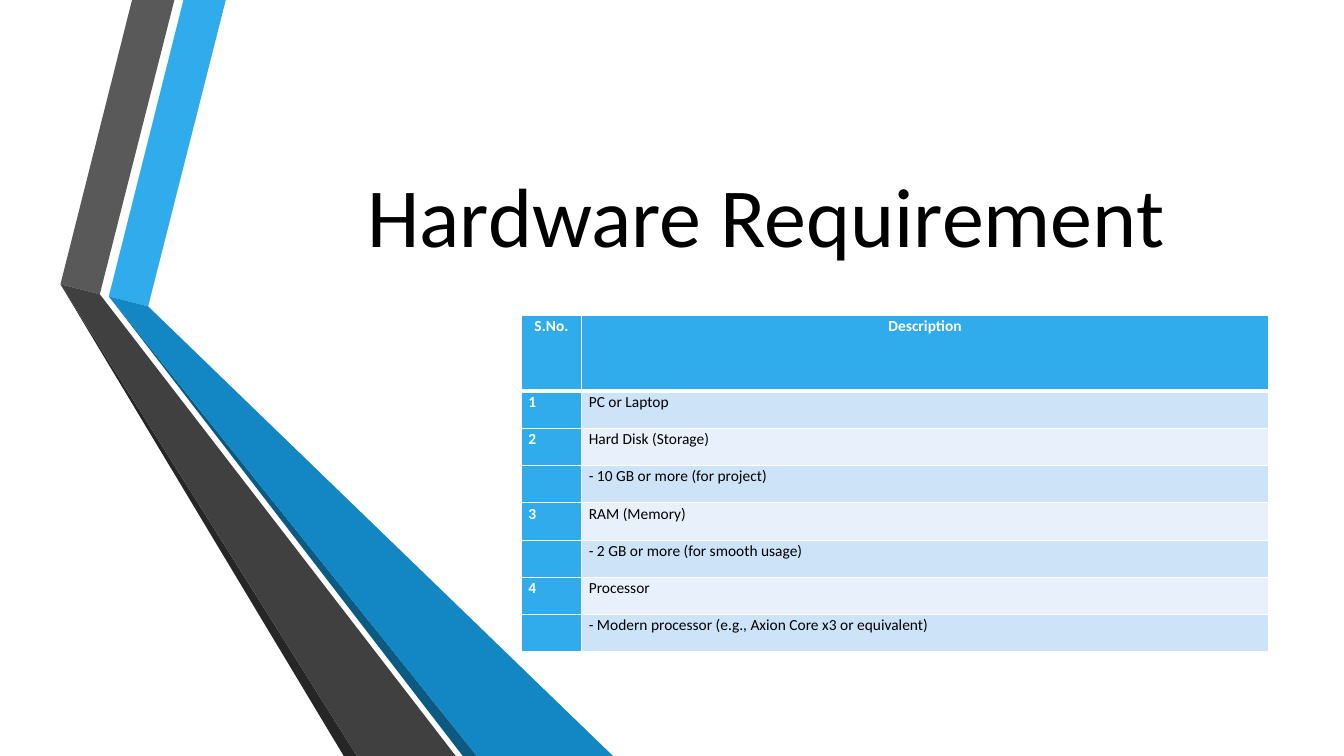
from lxml import etree
from pptx import Presentation
from pptx.dml.color import RGBColor
from pptx.enum.text import MSO_ANCHOR, PP_ALIGN
from pptx.oxml.ns import qn
from pptx.util import Inches, Pt

BOTTOM = MSO_ANCHOR.BOTTOM
LEFT, CENTER, RIGHT = PP_ALIGN.LEFT, PP_ALIGN.CENTER, PP_ALIGN.RIGHT
FONT = "Calibri"
COLORS = {
    "sky": "30ACEC", "blue": "1287C3", "navy": "0C5A82",
    "gray": "595959", "dark": "404040", "coal": "262626",
    "black": "000000", "white": "FFFFFF", "odd": "CDE3F8", "even": "E8F1FB",
}
BANDS = [
    ("sky", [(0.48, 2.94), (0.87, 3.04), (1.64, 0), (1.22, 0)]),
    ("gray", [(0.39, 2.92), (1.13, 0), (0.71, 0), (0, 2.82)]),
    ("coal", [(0, 2.82), (2.81, 7.5), (2.94, 7.5)]),
    ("navy", [(4.13, 7.5), (0.48, 2.94), (3.99, 7.5)]),
    ("blue", [(0.48, 2.94), (4.13, 7.5), (5.48, 7.5), (0.87, 3.04)]),
    ("dark", [(3.92, 7.5), (0.46, 3.01), (0.39, 2.92), (0, 2.82), (2.94, 7.5)]),
]
ROWS = [
    ("S.No.", "Description"),
    ("1", "PC or Laptop"),
    ("2", "Hard Disk (Storage)"),
    ("", "- 10 GB or more (for project)"),
    ("3", "RAM (Memory)"),
    ("", "- 2 GB or more (for smooth usage)"),
    ("4", "Processor"),
    ("", "- Modern processor (e.g., Axion Core x3 or equivalent)"),
]


def color(name):
    return RGBColor.from_string(COLORS[name])


def add_run(para, text, size, tone, bold=False):
    run = para.add_run()
    run.text = text
    font = run.font
    font.name, font.size, font.bold = FONT, Pt(size), bold
    font.color.rgb = color(tone)


def add_bands(slide, left, top):
    for tone, points in BANDS:
        spots = [(Inches(left + x), Inches(top + y)) for x, y in points]
        path = slide.shapes.build_freeform(*spots[0])
        path.add_line_segments(spots[1:], close=True)
        band = path.convert_to_shape()
        band.shadow.inherit = False
        band.fill.solid()
        band.fill.fore_color.rgb = color(tone)
        band.line.fill.background()


def add_title(slide, left, top, width, height):
    title = slide.shapes.title
    title.left, title.top = Inches(left), Inches(top)
    title.width, title.height = Inches(width), Inches(height)
    frame = title.text_frame
    frame.word_wrap = True
    frame.vertical_anchor = BOTTOM
    para = frame.paragraphs[0]
    para.alignment = RIGHT
    add_run(para, "Hardware Requirement", 60, "black")


def set_edges(cell, row):
    props = cell._tc.get_or_add_tcPr()
    widths = {"L": 1, "R": 1, "T": 3 if row == 1 else 1, "B": 3 if row == 0 else 1}
    for spot, (side, width) in enumerate(widths.items()):
        line = etree.Element(qn(f"a:ln{side}"), w=str(Pt(width)))
        fill = etree.SubElement(line, qn("a:solidFill"))
        etree.SubElement(fill, qn("a:srgbClr"), val=COLORS["white"])
        props.insert(spot, line)


def fill_cell(cell, text, row, col):
    key = row == 0 or col == 0
    cell.margin_left = cell.margin_right = Inches(0.07)
    cell.margin_top = cell.margin_bottom = 0
    cell.fill.solid()
    cell.fill.fore_color.rgb = color("sky" if key else "odd" if row % 2 else "even")
    set_edges(cell, row)
    if text:
        para = cell.text_frame.paragraphs[0]
        para.alignment = CENTER if row == 0 else LEFT
        para.line_spacing = 1.07
        para.space_after = Pt(8)
        add_run(para, text, 11, "white" if key else "black", key)


def add_specs(slide, left, top, width, height):
    frame = slide.shapes.add_table(
        len(ROWS), 2, Inches(left), Inches(top), Inches(width), Inches(height))
    table = frame.table
    table.columns[0].width = Inches(0.6)
    table.columns[1].width = Inches(width - 0.6)
    head = 0.75
    step = (height - head) / (len(ROWS) - 1)
    for row, texts in enumerate(ROWS):
        table.rows[row].height = Inches(step if row else head)
        for col, text in enumerate(texts):
            fill_cell(table.cell(row, col), text, row, col)


def main():
    deck = Presentation()
    deck.slide_width, deck.slide_height = Inches(13.33), Inches(7.5)
    slide = deck.slides.add_slide(deck.slide_layouts[5])
    add_bands(slide, 0.6, 0)
    add_title(slide, 2.27, -1.37, 9.38, 4.04)
    add_specs(slide, 5.17, 3.13, 7.41, 3.34)
    deck.save("out.pptx")


if __name__ == "__main__":
    main()
